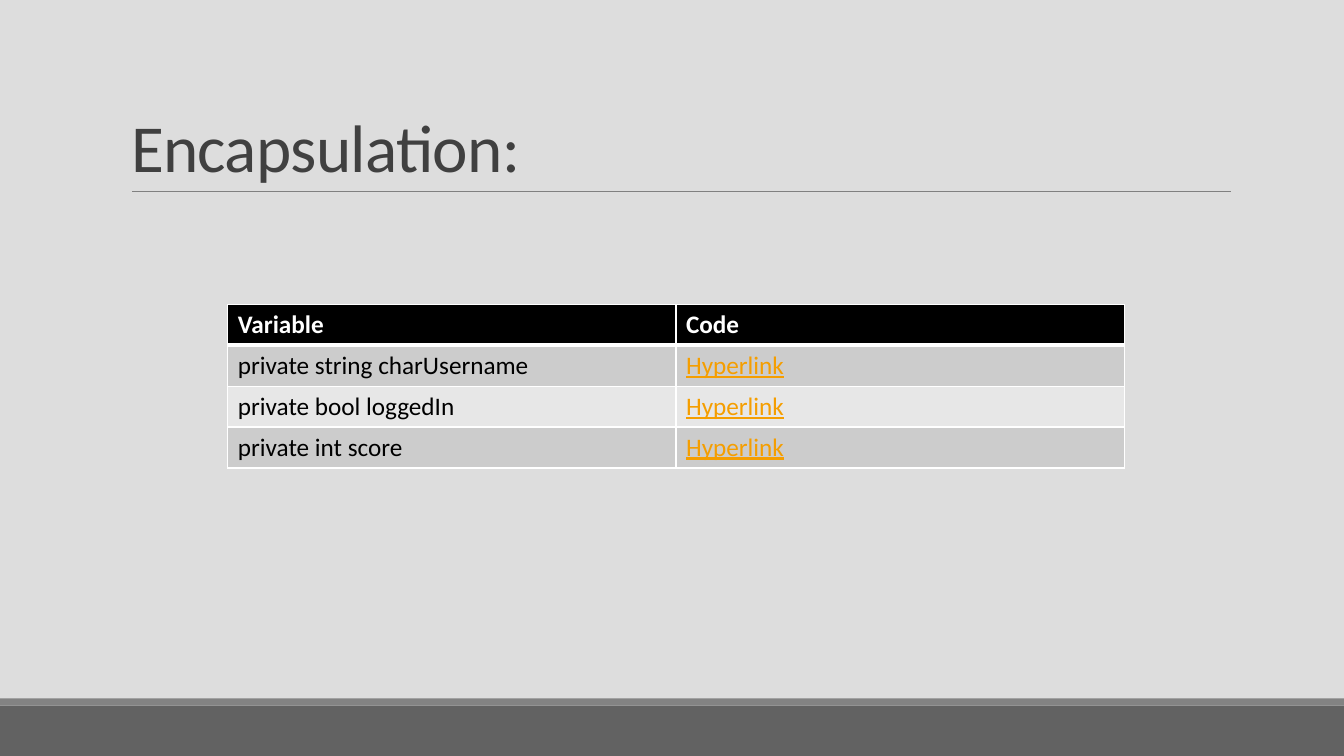
import pptx
import pptx.dml.color
import pptx.enum.shapes
import pptx.enum.text
import pptx.oxml
import pptx.oxml.ns
import pptx.util

WIDTH, HEIGHT = 13.33, 7.5


def colour(hex_code):
    return pptx.dml.color.RGBColor.from_string(hex_code)


class SlideBuilder:
    """Draws elements on one slide, with lengths given as shares of its size."""

    font_name = "Calibri"

    def __init__(self, deck, background):
        self.deck = deck
        self.slide = deck.slides.add_slide(deck.slide_layouts[5])
        self.slide.background.fill.solid()
        self.slide.background.fill.fore_color.rgb = colour(background)

    def box(self, left, top, width, height):
        across, down = self.deck.slide_width, self.deck.slide_height
        return [round(share * full) for share, full in
                zip((left, top, width, height), (across, down, across, down))]

    def style(self, paragraph, size, hex_code, bold=False, underline=False):
        font = paragraph.font
        font.name, font.size = self.font_name, pptx.util.Pt(size)
        font.bold, font.underline = bold, underline
        font.color.rgb = colour(hex_code)

    def band(self, place, hex_code):
        band = self.slide.shapes.add_shape(
            pptx.enum.shapes.MSO_SHAPE.RECTANGLE, *self.box(*place))
        band.shadow.inherit = False
        band.fill.solid()
        band.fill.fore_color.rgb = colour(hex_code)
        band.line.fill.background()

    def rule(self, left, right, height, hex_code, weight):
        x1, y, x2, _ = self.box(left, height, right, 0)
        rule = self.slide.shapes.add_connector(
            pptx.enum.shapes.MSO_CONNECTOR.STRAIGHT, x1, y, x2, y)
        rule.line.color.rgb = colour(hex_code)
        rule.line.width = pptx.util.Pt(weight)
        rule._element.spPr.append(pptx.oxml.parse_xml(
            f"<a:effectLst {pptx.oxml.ns.nsdecls('a')}/>"))

    def title(self, wording, place, size, hex_code):
        heading = self.slide.shapes.title
        heading.left, heading.top, heading.width, heading.height = self.box(*place)
        frame = heading.text_frame
        frame.text = wording
        frame.word_wrap = True
        frame.auto_size = pptx.enum.text.MSO_AUTO_SIZE.NONE
        frame.vertical_anchor = pptx.enum.text.MSO_ANCHOR.BOTTOM
        line = frame.paragraphs[0]
        line.alignment = pptx.enum.text.PP_ALIGN.LEFT
        line.line_spacing = 0.85
        self.style(line, size, hex_code)
        line._p.get_or_add_pPr().get_or_add_defRPr().set("spc", "-50")

    def border(self, cell, side, weight):
        cell._tc.get_or_add_tcPr().append(pptx.oxml.parse_xml(
            f"<a:ln{side} {pptx.oxml.ns.nsdecls('a')} w='{pptx.util.Pt(weight)}'>"
            f"<a:solidFill><a:srgbClr val='FFFFFF'/></a:solidFill></a:ln{side}>"))

    def table(self, rows, place, size):
        grid = self.slide.shapes.add_table(
            len(rows), len(rows[0]), *self.box(*place)).table
        for r, row in enumerate(rows):
            for c, wording in enumerate(row):
                header, link = r == 0, r > 0 and c == 1
                cell = grid.cell(r, c)
                cell.text = wording
                ink = "FFFFFF" if header else "F59E00" if link else "000000"
                self.style(cell.text_frame.paragraphs[0], size, ink, header, link)
                for side in "LRTB":
                    thick = (r, side) in ((0, "B"), (1, "T"))
                    self.border(cell, side, 3 if thick else 1)
                cell.fill.solid()
                cell.fill.fore_color.rgb = colour(
                    "000000" if header else "CCCCCC" if r % 2 else "E7E7E7")


def main():
    deck = pptx.Presentation()
    deck.slide_width = pptx.util.Inches(WIDTH)
    deck.slide_height = pptx.util.Inches(HEIGHT)
    page = SlideBuilder(deck, "DDDDDD")
    page.band((0, 7 / HEIGHT, 1, 0.5 / HEIGHT), "626262")
    page.band((0, 6.93 / HEIGHT, 1, 0.07 / HEIGHT), "838383")
    page.rule(1.31 / WIDTH, 12.21 / WIDTH, 1.9 / HEIGHT, "808080", 0.5)
    page.title("Encapsulation:",
               (1.2 / WIDTH, 0.31 / HEIGHT, 11 / WIDTH, 1.59 / HEIGHT), 48, "404040")
    variables = ["string charUsername", "bool loggedIn", "int score"]
    rows = [("Variable", "Code")]
    rows += [(f"private {variable}", "Hyperlink") for variable in variables]
    page.table(rows, (2.26 / WIDTH, 3.02 / HEIGHT, 8.89 / WIDTH, 1.62 / HEIGHT), 18)
    deck.save("out.pptx")


if __name__ == "__main__":
    main()
